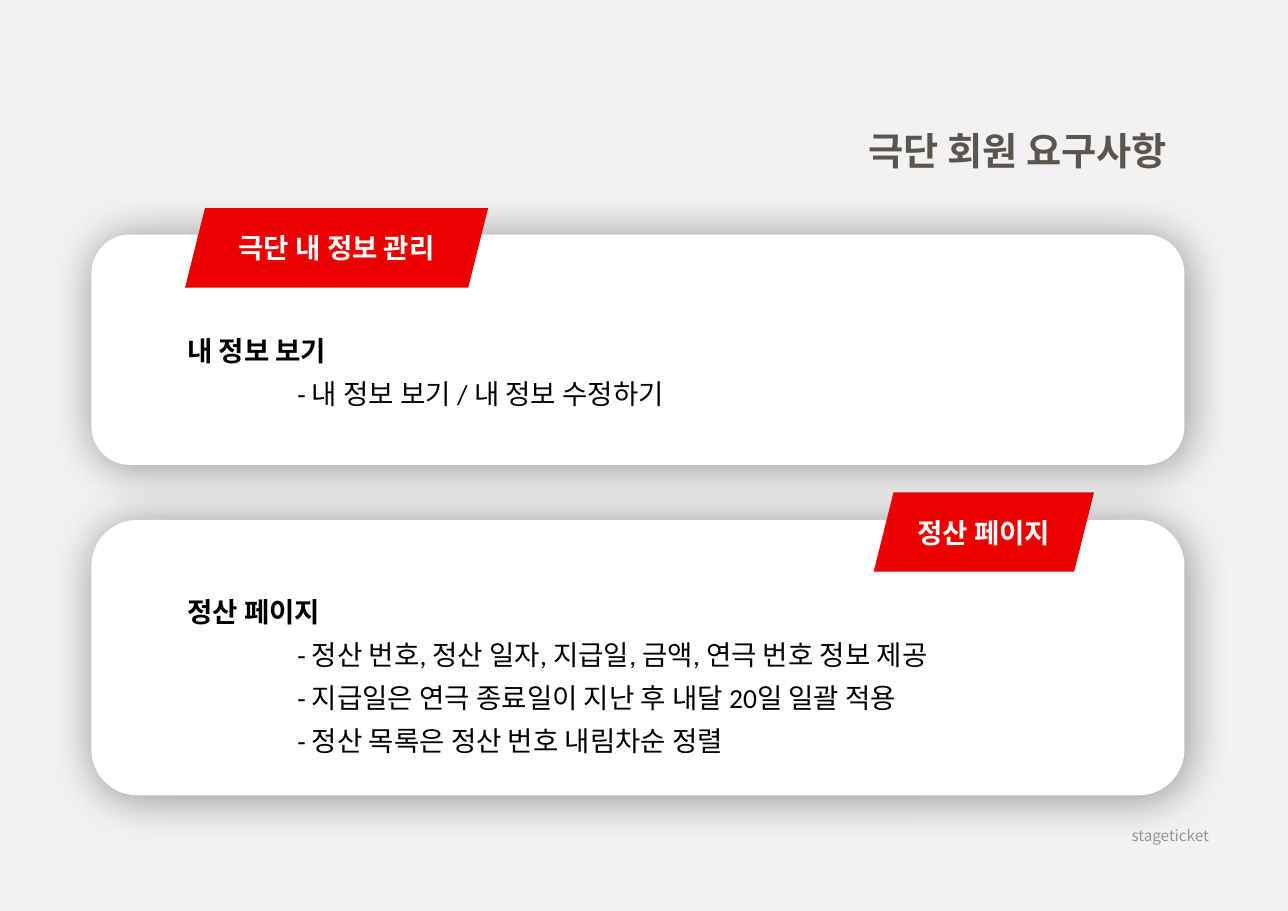
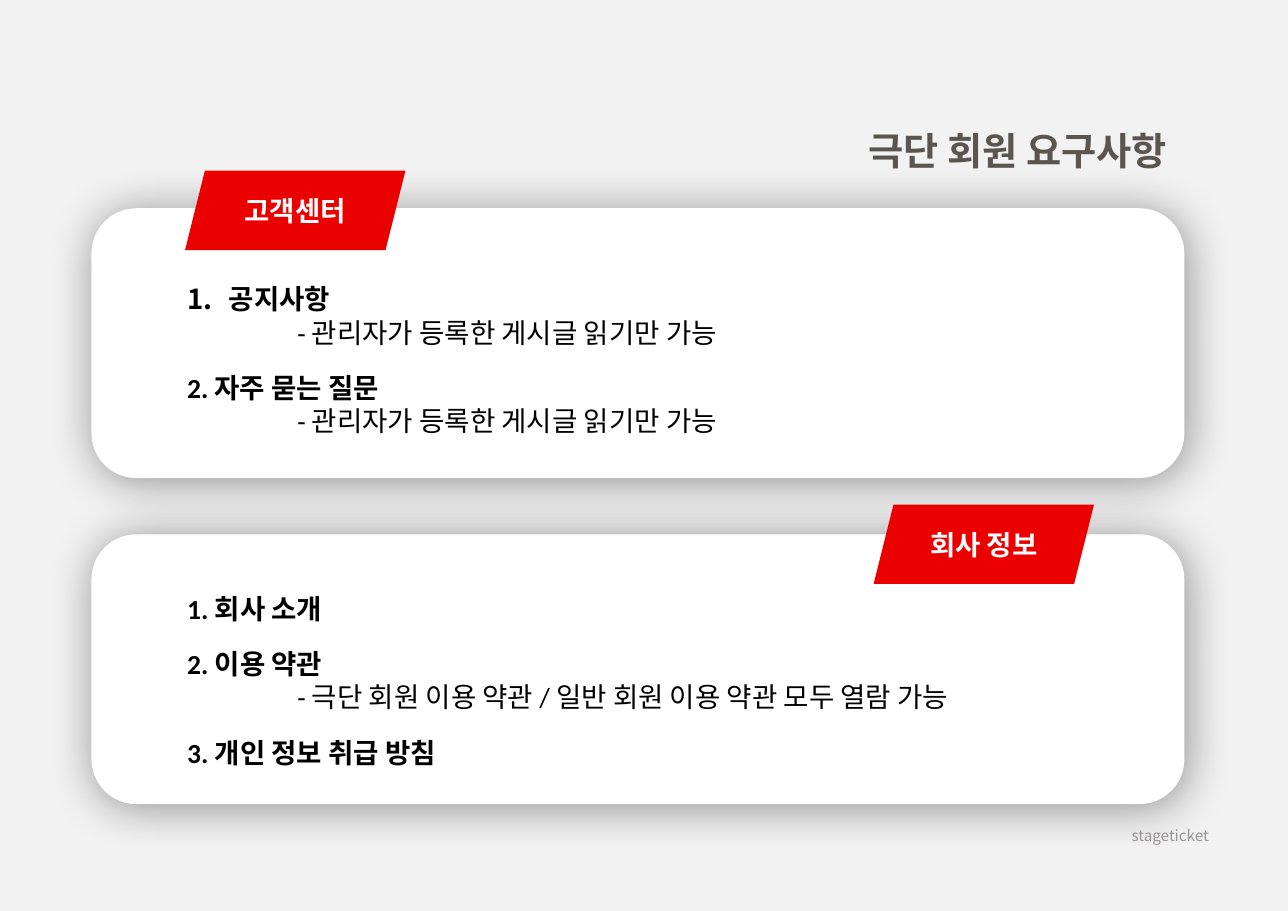
from dataclasses import dataclass

from lxml import etree
from pptx import Presentation
from pptx.dml.color import RGBColor
from pptx.enum import shapes, text
from pptx.oxml import ns
from pptx.util import Inches, Pt


@dataclass(frozen=True)
class Theme:
    back: str = "F2F2F2"
    card: str = "FFFFFF"
    tag: str = "EB0000"
    label: str = "FFFFFF"
    ink: str = "000000"
    title: str = "5B554F"
    foot: str = "999597"
    body: str = "Calibri"
    head: str = "Noto Sans CJK KR"
    large: float = 25
    mid: float = 18
    small: float = 10
    gap: float = 14.6


@dataclass(frozen=True)
class Box:
    left: float
    top: float
    width: float
    height: float

    def place(self) -> tuple:
        return tuple(Inches(v) for v in (self.left, self.top, self.width, self.height))


@dataclass(frozen=True)
class Line:
    words: str
    sub: bool = False
    gap: bool = False
    auto: bool = False


@dataclass(frozen=True)
class Panel:
    card: Box
    tag: Box
    label: str
    body: Box
    lines: tuple
    space: float = 1.0


THEME = Theme()
TITLE = Box(7.18, 1.11, 3.51, 0.52)
FOOT = Box(5.68, 7.45, 5.39, 0.27)


def card_at(top: float, height: float) -> Box:
    return Box(0.83, top, 9.92, height)


def left_tag(top: float, width: float) -> Box:
    return Box(1.68, top, width, 0.72)


def right_tag(top: float) -> Box:
    return Box(7.93, top, 2, 0.72)


def body_at(top: float, width: float, height: float = 1.75) -> Box:
    return Box(1.6, top, width, height)


PAGES = (
    (
        Panel(card_at(2.13, 2.09), left_tag(1.89, 2.75), "극단 내 정보 관리",
              body_at(2.89, 4.83, 0.88), (
                  Line("내 정보 보기"),
                  Line("- 내 정보 보기 / 내 정보 수정하기", sub=True),
              ), 1.3),
        Panel(card_at(4.72, 2.5), right_tag(4.47), "정산 페이지",
              body_at(5.22, 7.58), (
                  Line("정산 페이지"),
                  Line("- 정산 번호, 정산 일자, 지급일, 금액, 연극 번호 정보 제공", sub=True),
                  Line("- 지급일은 연극 종료일이 지난 후 내달 20일 일괄 적용", sub=True),
                  Line("- 정산 목록은 정산 번호 내림차순 정렬", sub=True),
              ), 1.3),
    ),
    (
        Panel(card_at(1.89, 2.45), left_tag(1.55, 2), "고객센터",
              body_at(2.39, 5.67), (
                  Line("공지사항", auto=True),
                  Line("- 관리자가 등록한 게시글 읽기만 가능", sub=True),
                  Line("2. 자주 묻는 질문", gap=True),
                  Line("- 관리자가 등록한 게시글 읽기만 가능", sub=True),
              )),
        Panel(card_at(4.85, 2.45), right_tag(4.58), "회사 정보",
              body_at(5.3, 7.75), (
                  Line("1. 회사 소개"),
                  Line("2. 이용 약관", gap=True),
                  Line("- 극단 회원 이용 약관 / 일반 회원 이용 약관 모두 열람 가능", sub=True),
                  Line("3. 개인 정보 취급 방침", gap=True),
              )),
    ),
)


def style(para, font: str, size: float, tint: str, bold: bool) -> None:
    for run in para.runs:
        run.font.name = font
        run.font.size = Pt(size)
        run.font.bold = bold
        run.font.color.rgb = RGBColor.from_string(tint)


def add_form(slide, kind, box: Box, tint: str):
    form = slide.shapes.add_shape(kind, *box.place())
    form.shadow.inherit = False
    form.fill.solid()
    form.fill.fore_color.rgb = RGBColor.from_string(tint)
    form.line.fill.background()
    return form


def add_glow(form) -> None:
    list_tag = form._element.spPr.find(ns.qn("a:effectLst"))
    glow = etree.SubElement(list_tag, ns.qn("a:outerShdw"))
    for key, value in (("blurRad", Pt(30)), ("dist", Pt(3)), ("dir", 45 * 60000)):
        glow.set(key, str(int(value)))
    glow.set("algn", "ctr")
    glow.set("rotWithShape", "0")
    tint = etree.SubElement(glow, ns.qn("a:srgbClr"), val=THEME.ink)
    etree.SubElement(tint, ns.qn("a:alpha"), val="40000")


def add_note(slide, box: Box, words: str, size: float, tint: str, bold: bool) -> None:
    frame = slide.shapes.add_textbox(*box.place()).text_frame
    frame.word_wrap = True
    frame.auto_size = text.MSO_AUTO_SIZE.SHAPE_TO_FIT_TEXT
    frame.text = words
    para = frame.paragraphs[0]
    para.alignment = text.PP_ALIGN.RIGHT
    style(para, THEME.head, size, tint, bold)


def indent(para, left: float, first: float = 0) -> None:
    props = para._p.get_or_add_pPr()
    props.set("marL", str(Inches(left)))
    props.set("indent", str(Inches(first)))


def add_count(para) -> None:
    indent(para, 0.38, -0.38)
    props = para._p.get_or_add_pPr()
    etree.SubElement(props, ns.qn("a:buFont"), typeface=THEME.head)
    etree.SubElement(props, ns.qn("a:buAutoNum"), type="arabicPeriod")


def add_body(slide, panel: Panel) -> None:
    frame = slide.shapes.add_textbox(*panel.body.place()).text_frame
    frame.word_wrap = True
    frame.vertical_anchor = text.MSO_ANCHOR.MIDDLE
    frame.text = "\n".join(line.words for line in panel.lines)
    for para, line in zip(frame.paragraphs, panel.lines):
        para.line_spacing = panel.space
        if line.gap:
            para.space_before = Pt(THEME.gap)
        if line.sub:
            indent(para, 1)
        if line.auto:
            add_count(para)
        style(para, THEME.body, THEME.mid, THEME.ink, not line.sub)


def add_panel(slide, panel: Panel) -> None:
    kinds = shapes.MSO_SHAPE
    add_glow(add_form(slide, kinds.ROUNDED_RECTANGLE, panel.card, THEME.card))
    frame = add_form(slide, kinds.PARALLELOGRAM, panel.tag, THEME.tag).text_frame
    frame.vertical_anchor = text.MSO_ANCHOR.MIDDLE
    frame.text = panel.label
    para = frame.paragraphs[0]
    para.alignment = text.PP_ALIGN.CENTER
    style(para, THEME.body, THEME.mid, THEME.label, True)
    add_body(slide, panel)


def main() -> None:
    deck = Presentation()
    deck.slide_width, deck.slide_height = Inches(11.69), Inches(8.27)
    back = deck.slide_master.background.fill
    back.solid()
    back.fore_color.rgb = RGBColor.from_string(THEME.back)
    for panels in PAGES:
        slide = deck.slides.add_slide(deck.slide_layouts[6])
        for panel in panels:
            add_panel(slide, panel)
        add_note(slide, TITLE, "극단 회원 요구사항", THEME.large, THEME.title, True)
        add_note(slide, FOOT, "stageticket", THEME.small, THEME.foot, False)
    deck.save("out.pptx")


if __name__ == "__main__":
    main()
